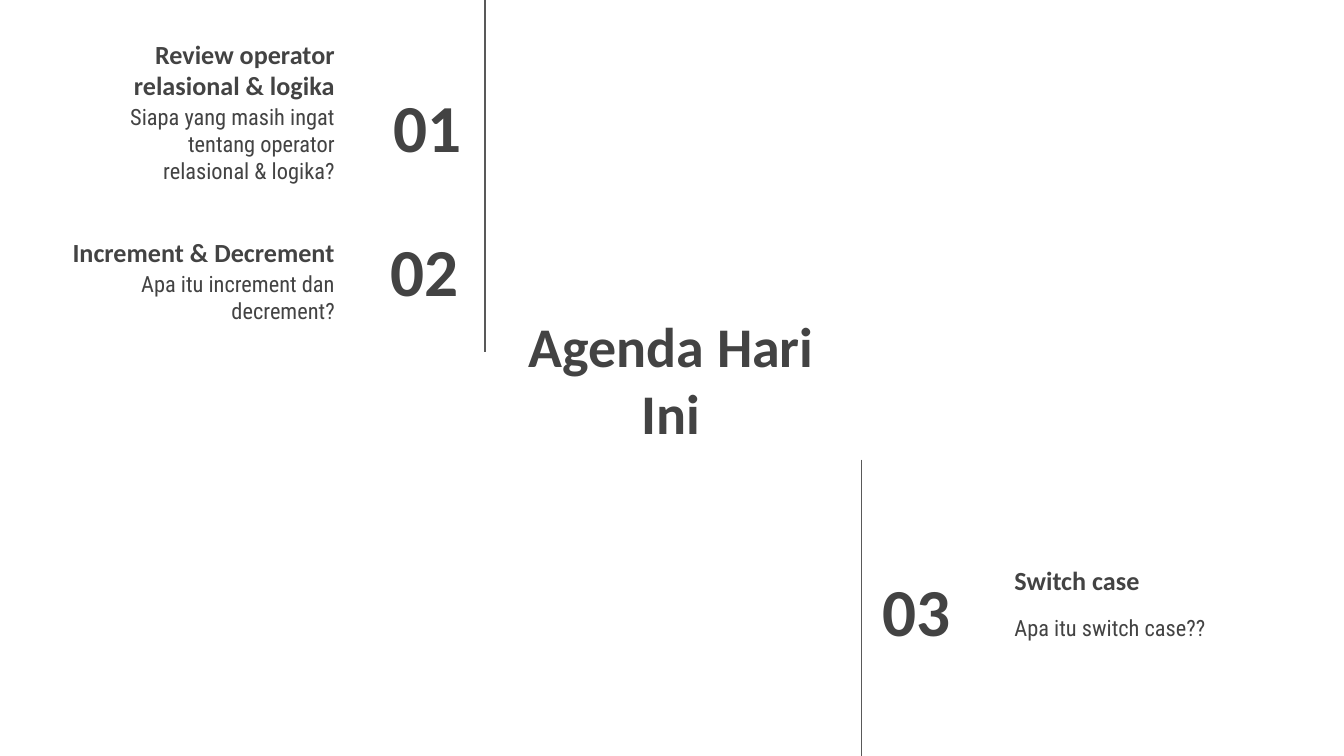
import pptx
import pptx.dml.color
import pptx.enum.shapes
import pptx.enum.text
import pptx.oxml.ns
import pptx.util
from lxml import etree

Inches = pptx.util.Inches
ALIGN = pptx.enum.text.PP_ALIGN
ANCHOR = pptx.enum.text.MSO_ANCHOR


def color(hex_value):
    return pptx.dml.color.RGBColor.from_string(hex_value)


class AgendaSlide:
    HEADING_FONT = "Calibri"
    BODY_FONT = "Roboto Condensed"
    INK = "434343"
    RULE = "595959"
    ROW = 0.63

    def __init__(self, slide):
        self.slide = slide

    def text(self, words, left, top, width, height, size, align, anchor,
             font=HEADING_FONT, bold=True):
        box = self.slide.shapes.add_textbox(
            Inches(left), Inches(top), Inches(width), Inches(height))
        frame = box.text_frame
        frame.word_wrap = True
        frame.vertical_anchor = anchor
        frame.margin_left = frame.margin_right = Inches(0.1)
        frame.margin_top = frame.margin_bottom = Inches(0.1)
        paragraph = frame.paragraphs[0]
        paragraph.alignment = align
        run = paragraph.add_run()
        run.text = words
        run.font.name = font
        run.font.size = pptx.util.Pt(size)
        run.font.bold = bold
        run.font.color.rgb = color(self.INK)

    def title(self, words, left, top, width, height):
        self.text(words, left, top, width, height, 30, ALIGN.CENTER, ANCHOR.MIDDLE)

    def heading(self, words, left, top, width, align):
        self.text(words, left, top, width, self.ROW, 14, align, ANCHOR.BOTTOM)

    def description(self, words, left, top, width, height, align):
        self.text(words, left, top, width, height, 12, align, ANCHOR.TOP,
                  self.BODY_FONT, False)

    def number(self, words, left, top, width, align):
        self.text(words, left, top, width, self.ROW, 36, align, ANCHOR.MIDDLE)

    def vertical_rule(self, x, top, bottom):
        rule = self.slide.shapes.add_connector(
            pptx.enum.shapes.MSO_CONNECTOR.STRAIGHT,
            Inches(x), Inches(top), Inches(x), Inches(bottom))
        rule.line.color.rgb = color(self.RULE)
        rule.line.width = pptx.util.Pt(0.75)
        etree.SubElement(rule._element.spPr, pptx.oxml.ns.qn("a:effectLst"))


def main():
    deck = pptx.Presentation()
    deck.slide_width = Inches(10)
    deck.slide_height = deck.slide_width * 9 // 16
    agenda = AgendaSlide(deck.slides.add_slide(deck.slide_layouts[6]))

    agenda.title("Agenda Hari Ini", 3.7, 2.3, 2.59, 1.03)

    left_topics = [
        ("01", 2.32, 0.62, "Review operator relasional & logika", 0.22,
         "Siapa yang masih ingat tentang operator relasional & logika?", 0.67),
        ("02", 2.3, 1.69, "Increment & Decrement", 1.46,
         "Apa itu increment dan decrement?", 1.91),
    ]
    for number, number_left, number_top, topic, topic_top, question, question_top in left_topics:
        agenda.heading(topic, 0.43, topic_top, 2.16, ALIGN.RIGHT)
        agenda.description(question, 0.76, question_top, 1.83, agenda.ROW, ALIGN.RIGHT)
        agenda.number(number, number_left, number_top, 1.21, ALIGN.RIGHT)

    agenda.number("03", 6.47, 4.22, 1.17, ALIGN.LEFT)
    agenda.heading("Switch case", 7.45, 3.9, 1.83, ALIGN.LEFT)
    agenda.description("Apa itu switch case??", 7.45, 4.47, 1.97, 0.81, ALIGN.LEFT)

    agenda.vertical_rule(3.61, 0, 2.62)
    agenda.vertical_rule(6.41, 3.42, 5.64)

    deck.save("out.pptx")


if __name__ == "__main__":
    main()
